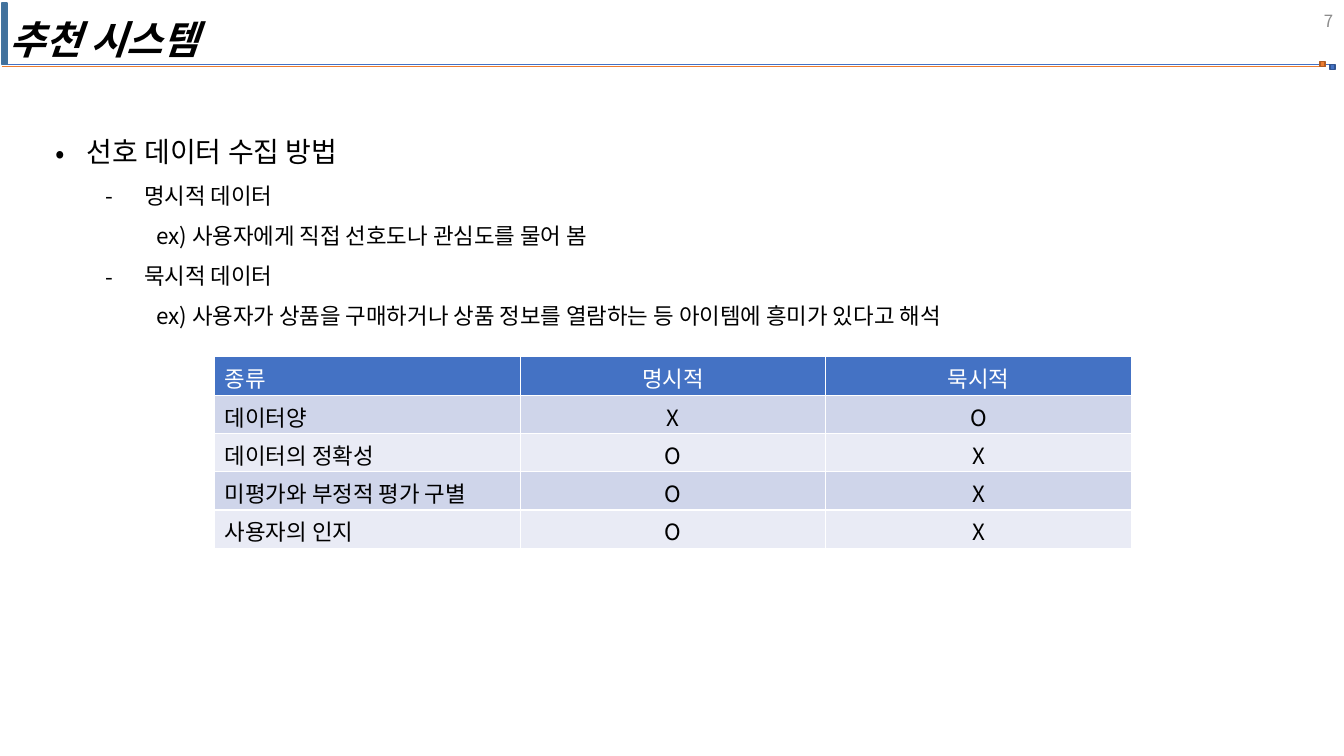
import dataclasses
import typing

import lxml.etree
import pptx
import pptx.dml.color
import pptx.enum.shapes
import pptx.enum.text
import pptx.oxml.ns
import pptx.util

Inches = pptx.util.Inches
Align = pptx.enum.text.PP_ALIGN
Anchor = pptx.enum.text.MSO_ANCHOR


@dataclasses.dataclass(frozen=True)
class Theme:
    font: str = "Noto Sans CJK JP"
    blue: str = "4472C4"
    blue_edge: str = "325491"
    orange: str = "ED7D31"
    orange_edge: str = "AF5C24"
    bar: str = "41719C"
    bar_edge: str = "43739E"
    gray: str = "8C8C8C"
    black: str = "000000"
    white: str = "FFFFFF"
    bands: tuple[str, str] = ("CFD5EA", "E9EBF5")
    title_size: float = 28
    lead_size: float = 20
    body_size: float = 16
    number_size: float = 12


THEME = Theme()


class Block(typing.NamedTuple):
    left: float
    top: float
    width: float
    height: float
    fill: str
    edge: str


class Rule(typing.NamedTuple):
    left: float
    right: float
    y: float
    color: str


class Point(typing.NamedTuple):
    text: str
    level: int


class Level(typing.NamedTuple):
    size: float
    margin: float
    indent: float
    bullet: str


BLOCKS = [
    Block(13.19, 0.64, 0.05, 0.05, THEME.blue, THEME.blue_edge),
    Block(13.09, 0.61, 0.05, 0.05, THEME.orange, THEME.orange_edge),
    Block(0.02, 0.03, 0.05, 0.61, THEME.bar, THEME.bar_edge),
]
RULES = [Rule(0.03, 13.24, 0.64, THEME.blue), Rule(0.02, 13.15, 0.66, THEME.orange)]
LEVELS = [
    Level(THEME.lead_size, 0.31, -0.31, "•"),
    Level(THEME.body_size, 0.88, -0.38, "-"),
    Level(THEME.body_size, 1, 0, ""),
]
POINTS = [
    Point("선호 데이터 수집 방법", 0),
    Point("명시적 데이터", 1),
    Point("ex) 사용자에게 직접 선호도나 관심도를 물어 봄", 2),
    Point("묵시적 데이터", 1),
    Point("ex) 사용자가 상품을 구매하거나 상품 정보를 열람하는 등 아이템에 흥미가 있다고 해석", 2),
]
COMPARISON = [
    ("종류", "명시적", "묵시적"),
    ("데이터양", "X", "O"),
    ("데이터의 정확성", "O", "X"),
    ("미평가와 부정적 평가 구별", "O", "X"),
    ("사용자의 인지", "O", "X"),
]


def rgb(color: str) -> pptx.dml.color.RGBColor:
    return pptx.dml.color.RGBColor.from_string(color)


def add_xml(parent, tag: str, **attributes: str):
    return lxml.etree.SubElement(parent, pptx.oxml.ns.qn(tag), attributes)


def write(paragraph, text: str, *, size: float, color: str = THEME.black,
          align=Align.LEFT, bold: bool = False, italic: bool = False) -> None:
    paragraph.alignment = align
    run = paragraph.add_run()
    run.text = text
    run.font.size = pptx.util.Pt(size)
    run.font.bold, run.font.italic = bold, italic
    run.font.color.rgb = rgb(color)
    run.font.name = THEME.font
    add_xml(run.font._element, "a:ea", typeface=THEME.font)


def add_frame(slide, left: float, top: float, width: float, height: float,
              anchor=Anchor.TOP, wrap: bool = False):
    box = slide.shapes.add_textbox(Inches(left), Inches(top), Inches(width), Inches(height))
    box.text_frame.word_wrap = wrap
    box.text_frame.vertical_anchor = anchor
    return box.text_frame


def add_rule(slide, rule: Rule) -> None:
    line = slide.shapes.add_connector(
        pptx.enum.shapes.MSO_CONNECTOR.STRAIGHT,
        Inches(rule.left), Inches(rule.y), Inches(rule.right), Inches(rule.y))
    line.line.color.rgb = rgb(rule.color)
    line.line.width = pptx.util.Pt(0.5)
    add_xml(line._element.spPr, "a:effectLst")


def add_block(slide, block: Block) -> None:
    rect = slide.shapes.add_shape(
        pptx.enum.shapes.MSO_SHAPE.RECTANGLE, *(Inches(length) for length in block[:4]))
    rect.shadow.inherit = False
    rect.fill.solid()
    rect.fill.fore_color.rgb = rgb(block.fill)
    rect.line.color.rgb = rgb(block.edge)
    rect.line.width = pptx.util.Pt(1)


def add_points(slide) -> None:
    frame = add_frame(slide, 0.45, 1.12, 10.01, 2.57)
    for index, point in enumerate(POINTS):
        level = LEVELS[point.level]
        paragraph = frame.add_paragraph() if index else frame.paragraphs[0]
        paragraph.level = point.level
        paragraph.line_spacing = 1.5
        write(paragraph, point.text, size=level.size)
        properties = paragraph._p.get_or_add_pPr()
        properties.set("marL", str(Inches(level.margin)))
        properties.set("indent", str(Inches(level.indent)))
        if level.bullet:
            add_xml(properties, "a:buFont", typeface=THEME.font)
            add_xml(properties, "a:buChar", char=level.bullet)


def style_cell(cell, fill: str) -> None:
    """Give the cell white borders on all sides and a solid fill."""
    properties = cell._tc.get_or_add_tcPr()
    for side in ("a:lnL", "a:lnR", "a:lnT", "a:lnB"):
        border = add_xml(properties, side, w=str(pptx.util.Pt(1)))
        add_xml(add_xml(border, "a:solidFill"), "a:srgbClr", val=THEME.white)
    cell.fill.solid()
    cell.fill.fore_color.rgb = rgb(fill)


def add_comparison(slide) -> None:
    columns, row_height, column_width = len(COMPARISON[0]), 0.38, 3.03
    table = slide.shapes.add_table(
        len(COMPARISON), columns, Inches(2.13), Inches(3.54),
        Inches(column_width * columns), Inches(row_height * len(COMPARISON))).table
    for row, texts in enumerate(COMPARISON):
        for column, text in enumerate(texts):
            cell = table.cell(row, column)
            style_cell(cell, THEME.bands[(row - 1) % 2] if row else THEME.blue)
            write(cell.text_frame.paragraphs[0], text, size=THEME.body_size,
                  color=THEME.black if row else THEME.white,
                  align=Align.CENTER if column else Align.LEFT)


def main() -> None:
    deck = pptx.Presentation()
    deck.slide_width, deck.slide_height = Inches(13.33), Inches(7.5)
    slide = deck.slides.add_slide(deck.slide_layouts[6])
    for rule in RULES:
        add_rule(slide, rule)
    for block in BLOCKS:
        add_block(slide, block)
    number = add_frame(slide, 10.32, 0.01, 3, 0.4, Anchor.MIDDLE, wrap=True)
    write(number.paragraphs[0], "7", size=THEME.number_size, color=THEME.gray, align=Align.RIGHT)
    add_points(slide)
    add_comparison(slide)
    title = add_frame(slide, 0, 0.1, 2.28, 0.57)
    write(title.paragraphs[0], "추천 시스템", size=THEME.title_size, bold=True, italic=True)
    deck.save("out.pptx")


if __name__ == "__main__":
    main()
